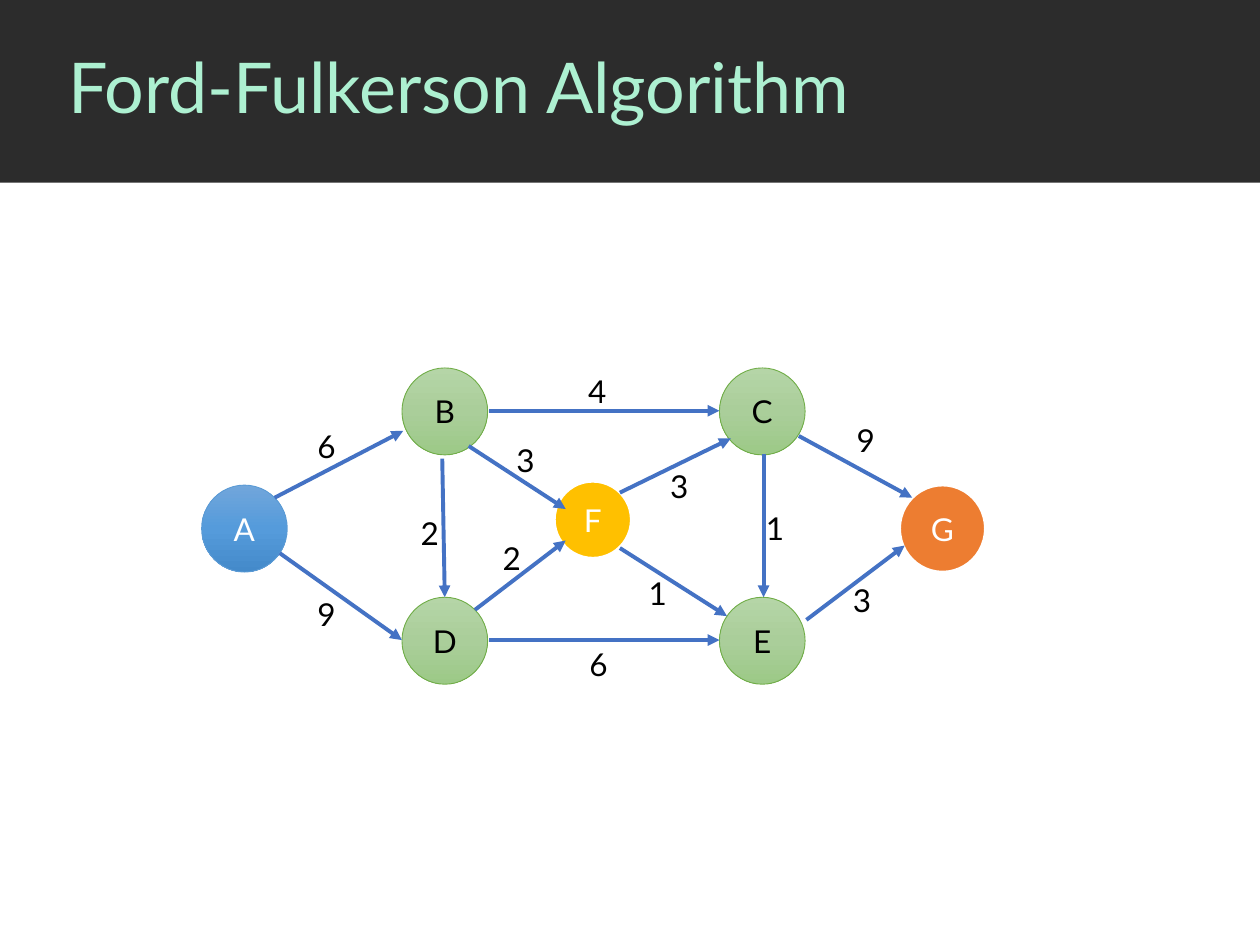
from copy import deepcopy
from dataclasses import dataclass

from lxml.etree import SubElement
from pptx import Presentation
from pptx.dml.color import RGBColor
from pptx.enum.shapes import MSO_CONNECTOR as Connector, MSO_SHAPE as Preset
from pptx.enum.text import MSO_ANCHOR as Anchor, MSO_AUTO_SIZE as AutoSize, PP_ALIGN as Align
from pptx.oxml.ns import qn
from pptx.util import Inches, Pt

FONT = "Lato"
BLACK = RGBColor(0x00, 0x00, 0x00)
WHITE = RGBColor(0xFF, 0xFF, 0xFF)
BAND = RGBColor(0x2C, 0x2C, 0x2C)
MINT = RGBColor(0xAD, 0xF0, 0xD1)
ARROW = RGBColor(0x44, 0x72, 0xC4)
ORANGE = RGBColor(0xED, 0x7D, 0x31)
GOLD = RGBColor(0xFF, 0xC0, 0x00)
BLUE_LINE = RGBColor(0x5B, 0x9B, 0xD5)
GREEN_LINE = RGBColor(0x70, 0xAD, 0x47)
BLUES = (RGBColor(0x71, 0xA6, 0xDB), RGBColor(0x55, 0x9B, 0xDB), RGBColor(0x44, 0x8A, 0xCA))
GREENS = (RGBColor(0xB5, 0xD5, 0xA7), RGBColor(0xAA, 0xCE, 0x9A), RGBColor(0x9C, 0xC9, 0x87))


@dataclass(frozen=True)
class Node:
    """A vertex; one fill colour is solid, three make a vertical gradient."""
    name: str
    left: float
    top: float
    fills: tuple = GREENS
    outline: RGBColor = GREEN_LINE
    weight: float = 0.5
    color: RGBColor = BLACK
    width: float = 0.68
    height: float = 0.69


@dataclass(frozen=True)
class Edge:
    """A directed edge with its capacity and the corner of its label."""
    start: tuple
    end: tuple
    capacity: int
    label: tuple


# Columns and rows shared by the four green nodes
LEFT, RIGHT, UPPER, LOWER, MIDDLE = 3.19, 5.71, 2.92, 4.74, 3.85

NODES = [
    Node("A", 1.6, MIDDLE, BLUES, BLUE_LINE, color=WHITE),
    Node("B", LEFT, UPPER),
    Node("C", RIGHT, UPPER),
    Node("D", LEFT, LOWER),
    Node("E", RIGHT, LOWER),
    Node("F", 4.4, 3.82, (GOLD,), WHITE, 1.5, WHITE, 0.61, 0.61),
    Node("G", 7.14, MIDDLE, (ORANGE,), WHITE, 1.5, WHITE),
]

EDGES = [
    Edge((2.18, 3.95), (3.2, 3.42), 6, (2.42, 3.34)),   # A to B
    Edge((2.22, 4.39), (3.19, 5.08), 9, (2.42, 4.67)),  # A to D
    Edge((3.51, 3.64), (3.53, 4.74), 2, (3.24, 4.03)),  # B to D
    Edge((3.88, 3.26), (5.71, 3.26), 4, (4.57, 2.9)),   # B to C
    Edge((3.72, 3.54), (4.49, 4.04), 3, (4, 3.45)),     # B to F
    Edge((4.92, 3.91), (5.8, 3.48), 3, (5.22, 3.66)),   # F to C
    Edge((3.77, 4.84), (4.49, 4.29), 2, (3.89, 4.23)),  # D to F
    Edge((4.92, 4.35), (5.77, 4.89), 1, (5.05, 4.51)),  # F to E
    Edge((3.88, 5.08), (5.71, 5.08), 6, (4.58, 5.07)),  # D to E
    Edge((6.4, 4.92), (7.18, 4.33), 3, (6.67, 4.56)),   # E to G
    Edge((6.34, 3.46), (7.24, 3.95), 9, (6.7, 3.29)),   # C to G
    Edge((6.06, 3.6), (6.06, 4.74), 1, (5.98, 3.99)),   # C to E
]


def write(box, text: str, *, size=18, color=BLACK, align=Align.LEFT,
          anchor=Anchor.TOP, spacing=1.0) -> None:
    frame = box.text_frame
    frame.word_wrap = True
    frame.auto_size = AutoSize.NONE
    frame.vertical_anchor = anchor
    para = frame.paragraphs[0]
    para.alignment = align
    para.line_spacing = spacing
    span = para.add_run()
    span.text = text
    span.font.name = FONT
    span.font.size = Pt(size)
    span.font.color.rgb = color


def paint(shape, colors: tuple) -> None:
    if len(colors) == 1:
        shape.fill.solid()
        shape.fill.fore_color.rgb = colors[0]
        return
    shape.fill.gradient()
    shape.fill.gradient_angle = 270
    first = shape.element.spPr.find(".//" + qn("a:gs"))
    first.addnext(deepcopy(first))
    for index, (stop, color) in enumerate(zip(shape.fill.gradient_stops, colors)):
        stop.position = index / (len(colors) - 1)
        stop.color.rgb = color


def draw_node(page, node: Node) -> None:
    circle = page.shapes.add_shape(Preset.OVAL, Inches(node.left), Inches(node.top),
                                   Inches(node.width), Inches(node.height))
    circle.shadow.inherit = False
    paint(circle, node.fills)
    circle.line.color.rgb = node.outline
    circle.line.width = Pt(node.weight)
    write(circle, node.name, color=node.color, align=Align.CENTER, anchor=Anchor.MIDDLE)


def draw_arrow(page, edge: Edge) -> None:
    arrow = page.shapes.add_connector(
        Connector.STRAIGHT, *(Inches(value) for value in edge.start + edge.end))
    arrow.line.color.rgb = ARROW
    arrow.line.width = Pt(2.25)
    SubElement(arrow.line._get_or_add_ln(), qn("a:tailEnd"), type="triangle")
    SubElement(arrow.element.spPr, qn("a:effectLst"))


def draw_capacity(page, edge: Edge) -> None:
    left, top = edge.label
    box = page.shapes.add_textbox(Inches(left), Inches(top), Inches(0.27), Inches(0.4))
    box.text_frame.margin_right = 0
    write(box, str(edge.capacity))


def draw_header(page, text: str) -> None:
    title = page.shapes.title
    title.left, title.top = Inches(0.44), Inches(0)
    title.width, title.height = Inches(9.56), Inches(1.44)
    write(title, text, size=40, color=MINT, anchor=Anchor.MIDDLE, spacing=0.9)
    band = page.shapes.add_shape(Preset.RECTANGLE, 0, 0, Inches(10), Inches(1.45))
    band.shadow.inherit = False
    paint(band, (BAND,))
    band.line.fill.background()
    title.element.addprevious(band.element)  # the band lies behind the title


def main() -> None:
    deck = Presentation()
    deck.slide_width, deck.slide_height = Inches(10), Inches(7.5)
    page = deck.slides.add_slide(deck.slide_layouts[5])
    draw_header(page, "Ford-Fulkerson Algorithm")

    # Flow network: nodes below, then arrows, then capacities
    for node in NODES:
        draw_node(page, node)
    for edge in EDGES:
        draw_arrow(page, edge)
    for edge in EDGES:
        draw_capacity(page, edge)
    deck.save("out.pptx")


if __name__ == "__main__":
    main()
